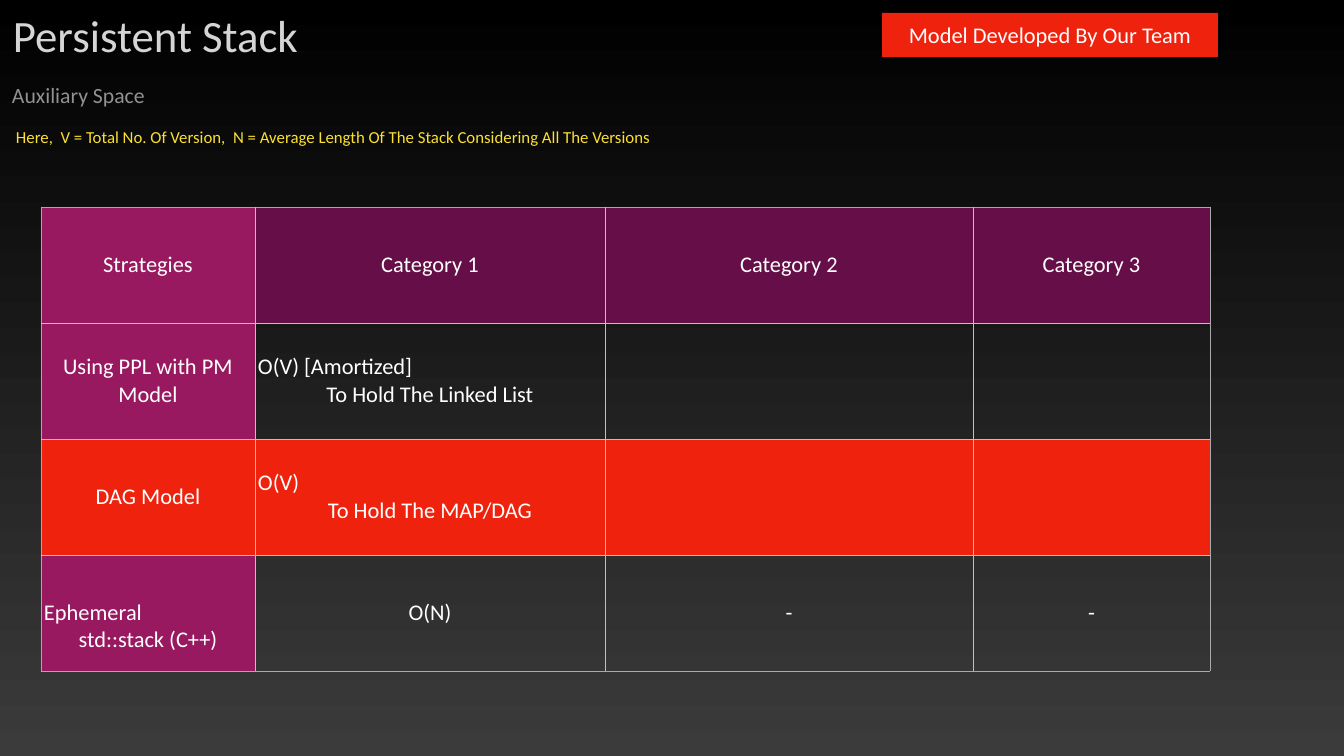
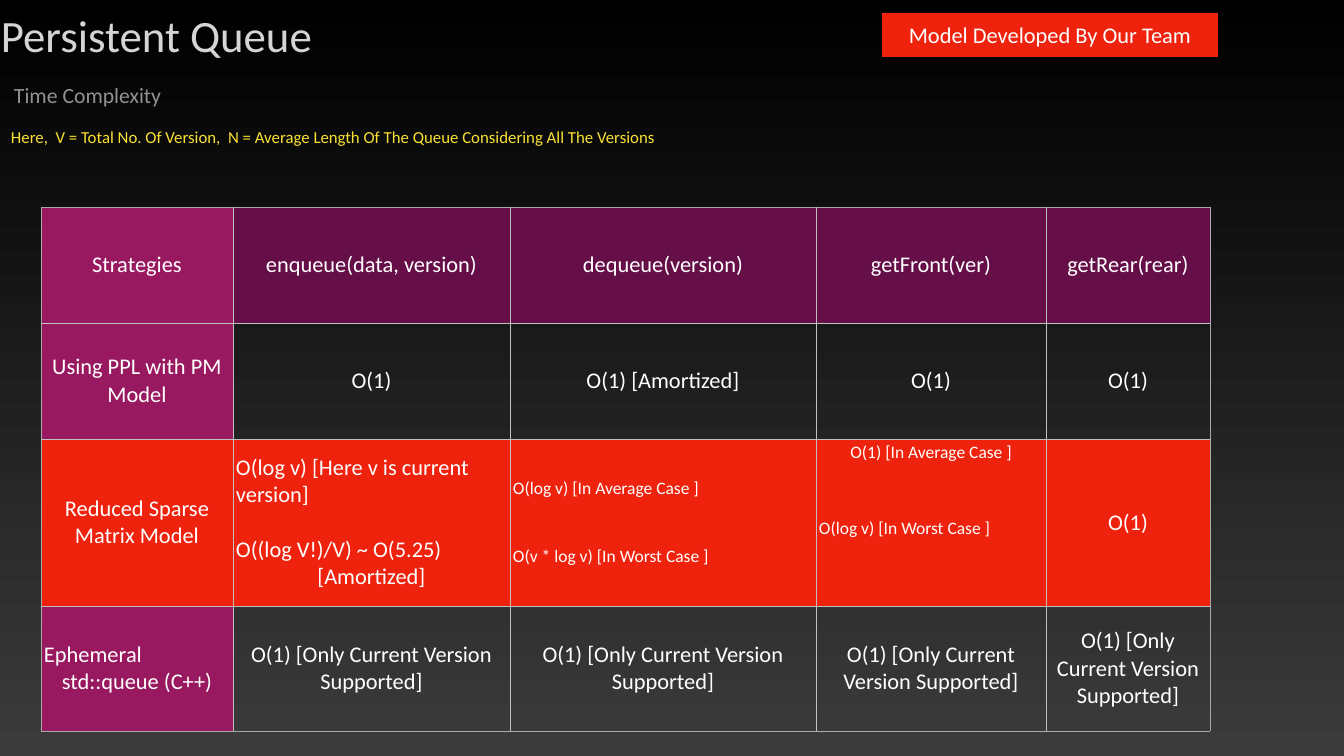
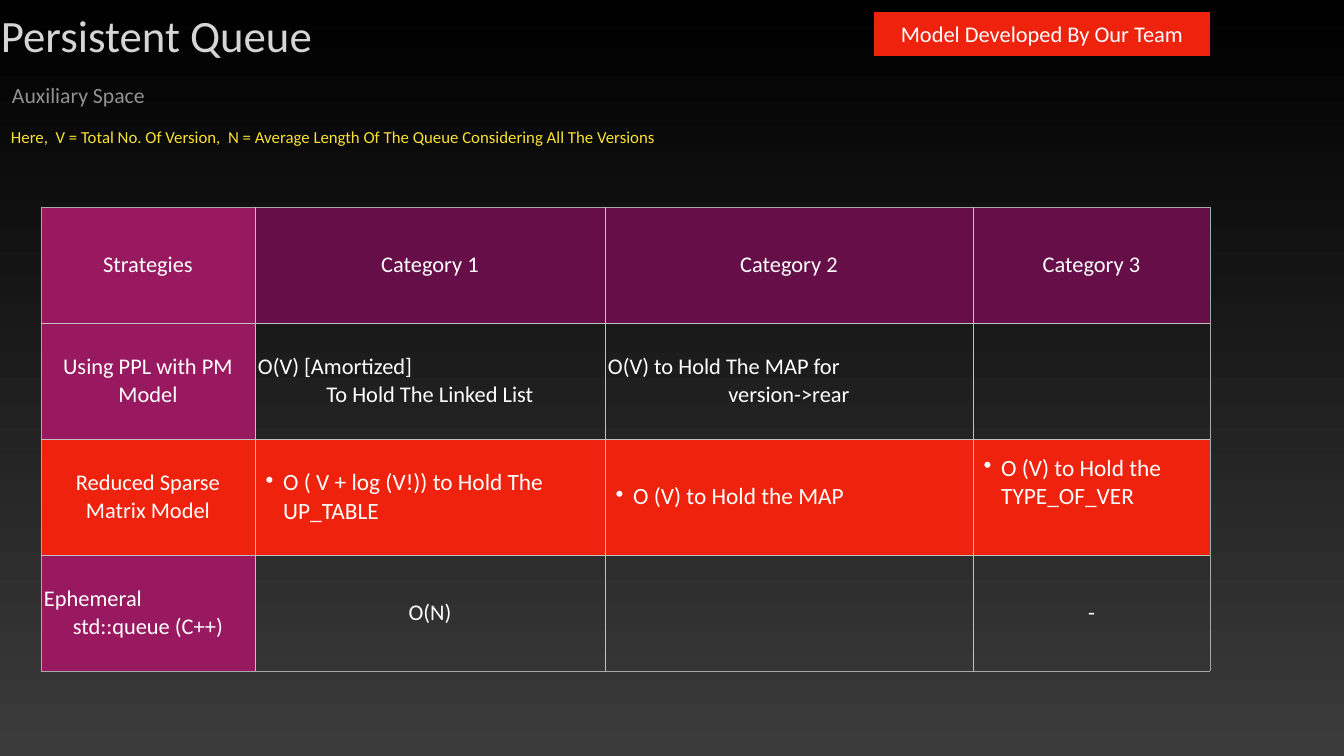
"""Builds three slides comparing the costs of persistent stack and queue strategies."""
from lxml import etree
from pptx import Presentation
from pptx import util as u
from pptx.dml import color as c
from pptx.enum import shapes, text
from pptx.oxml import ns

SCALE = 914400 / 50.4
FONT = "Calibri"
COLORS = {
    "top": "000000", "bottom": "3B3B3B", "title": "D5D5D5", "subtitle": "929292",
    "note": "FAE132", "white": "FFFFFF", "header": "650E48", "strategy": "98195F",
    "ours": "EE220D", "inner": "C0C0C0", "outer": "A6AAA9",
}
RGB = {name: c.RGBColor.from_string(value) for name, value in COLORS.items()}
ALIGNS = {"l": text.PP_ALIGN.LEFT, "c": text.PP_ALIGN.CENTER}


def px(*lengths):
    """Turn px lengths into EMU."""
    return [u.Emu(round(length * SCALE)) for length in lengths]


def write(box, words, size=32, color="white", aligns="c", gap_at=None, gap=0,
          anchor="MIDDLE", pad_top=3, pad_bottom=3, bullet=False):
    """Fill a shape or cell with one paragraph per line of words."""
    frame = box.text_frame
    frame.word_wrap = True
    holder = box if hasattr(box, "is_merge_origin") else frame
    holder.vertical_anchor = getattr(text.MSO_ANCHOR, anchor)
    holder.margin_left, holder.margin_right, holder.margin_top, holder.margin_bottom = px(
        3, 3, pad_top, pad_bottom)
    for i, line in enumerate(words.split("\n") if words else []):
        paragraph = frame.add_paragraph() if i else frame.paragraphs[0]
        paragraph.alignment = ALIGNS[aligns[i % len(aligns)]]
        if i == gap_at:
            paragraph.space_before = u.Pt(gap)
        run = paragraph.add_run()
        run.text = line
        run.font.name = FONT
        run.font.size = u.Pt(size)
        run.font.color.rgb = RGB[color]
        if bullet:
            props = paragraph._p.get_or_add_pPr()
            props.set("marL", str(u.Inches(0.5)))
            props.set("indent", str(u.Inches(-0.35)))
            etree.SubElement(props, ns.qn("a:buChar"), char="•")


ppl = "Using PPL with PM Model"
sparse = "Reduced Sparse Matrix Model"
current = "O(1) [Only Current Version Supported]"
categories = ["Strategies", "Category 1", "Category 2", "Category 3"]
category_widths = [214, 350, 368, 237]
even_heights = [116] * 4
linked_list = {"words": "O(V) [Amortized]\nTo Hold The Linked List", "aligns": "lc"}
ephemeral_queue = {"words": "Ephemeral\nstd::queue (C++)", "aligns": "lc"}
bulleted = {"size": 33.3, "aligns": "l", "bullet": True}

pages = [
    {
        "structure": "Stack", "title_left": 10, "note_left": 13,
        "measure": "Auxiliary Space", "measure_left": 9, "banner": (882, 13),
        "widths": category_widths, "heights": even_heights,
        "rows": [
            categories,
            [ppl, linked_list, "", ""],
            ["DAG Model", {"words": "O(V)\nTo Hold The MAP/DAG", "aligns": "lc"}, "", ""],
            [{"words": "Ephemeral\nstd::stack (C++)", "aligns": "lc", "pad_top": 30},
             "O(N)", "-", "-"],
        ],
    },
    {
        "structure": "Queue", "title_left": -2, "note_left": 8,
        "measure": "Time Complexity", "measure_left": 11, "banner": (882, 13),
        "widths": [192, 277, 306, 230, 164], "heights": [116, 116, 167, 125],
        "rows": [
            ["Strategies", "enqueue(data, version)", "dequeue(version)",
             "getFront(ver)", "getRear(rear)"],
            [ppl, "O(1)", "O(1) [Amortized]", "O(1)", "O(1)"],
            [sparse,
             {"words": "O(log v) [Here v is current version]\n"
                       "O((log V!)/V) ~ O(5.25)\n[Amortized]",
              "aligns": "llc", "gap_at": 1, "gap": 39},
             {"words": "O(log v) [In Average Case ]\nO(v * log v) [In Worst Case ]",
              "size": 25, "aligns": "l", "gap_at": 1, "gap": 67},
             {"words": "O(1) [In Average Case ]\nO(log v) [In Worst Case ]",
              "size": 25, "aligns": "cl", "gap_at": 1, "gap": 78, "anchor": "TOP"},
             "O(1)"],
            [ephemeral_queue] + [current] * 4,
        ],
    },
    {
        "structure": "Queue", "title_left": -2, "note_left": 8,
        "measure": "Auxiliary Space", "measure_left": 9, "banner": (874, 12),
        "widths": category_widths, "heights": even_heights,
        "rows": [
            categories,
            [ppl, linked_list,
             {"words": "O(V) to Hold The MAP for\nversion->rear", "aligns": "lc"}, ""],
            [sparse,
             {"words": "O ( V + log (V!)) to Hold The UP_TABLE", **bulleted},
             {"words": "O (V) to Hold the MAP", **bulleted},
             {"words": "O (V) to Hold the TYPE_OF_VER", "pad_bottom": 32, **bulleted}],
            [ephemeral_queue, "O(N)", "", "-"],
        ],
    },
]

deck = Presentation()
deck.slide_width, deck.slide_height = px(1344, 756)

for page in pages:
    slide = deck.slides.add_slide(deck.slide_layouts[6])
    backdrop = slide.background.fill
    backdrop.gradient()
    backdrop.gradient_angle = 270
    for stop, shade in zip(backdrop.gradient_stops, ("top", "bottom")):
        stop.color.rgb = RGB[shade]

    rows, widths, heights = page["rows"], page["widths"], page["heights"]
    costs = slide.shapes.add_table(
        len(rows), len(widths), *px(41, 207, sum(widths), sum(heights))).table
    costs.first_row = costs.horz_banding = False
    for column, width in zip(costs.columns, px(*widths)):
        column.width = width
    for row, height in zip(costs.rows, px(*heights)):
        row.height = height
    for r, entries in enumerate(rows):
        for k, entry in enumerate(entries):
            cell = costs.cell(r, k)
            write(cell, **(entry if isinstance(entry, dict) else {"words": entry}))
            outer_sides = {"L": k == 0, "R": k == len(widths) - 1,
                           "T": r == 0, "B": r == len(rows) - 1}
            for side, is_outer in outer_sides.items():
                border = etree.SubElement(
                    cell._tc.get_or_add_tcPr(), ns.qn(f"a:ln{side}"), w=str(u.Pt(1)))
                paint = etree.SubElement(border, ns.qn("a:solidFill"))
                etree.SubElement(paint, ns.qn("a:srgbClr"),
                                 val=COLORS["outer" if is_outer else "inner"])
            shade = ("ours" if r == 2 else "strategy" if k == 0
                     else "header" if r == 0 else None)
            if shade:
                cell.fill.solid()
                cell.fill.fore_color.rgb = RGB[shade]
            else:
                cell.fill.background()

    note = (f"Here,  V = Total No. Of Version,  N = Average Length Of The "
            f"{page['structure']} Considering All The Versions")
    headings = [
        (note, (page["note_left"], 123, 751, 27), 24, "note"),
        (f"Persistent {page['structure']}", (page["title_left"], 3, 372, 64), 64, "title"),
        (page["measure"], (page["measure_left"], 78, 177, 34), 31, "subtitle"),
    ]
    for words, place, size, color in headings:
        write(slide.shapes.add_textbox(*px(*place)), words, size=size, color=color, aligns="l")

    banner = slide.shapes.add_shape(
        shapes.MSO_SHAPE.RECTANGLE, *px(*page["banner"], 336, 44))
    banner.shadow.inherit = False
    banner.fill.solid()
    banner.fill.fore_color.rgb = RGB["ours"]
    banner.line.fill.background()
    write(banner, "Model Developed By Our Team")

deck.save("out.pptx")
